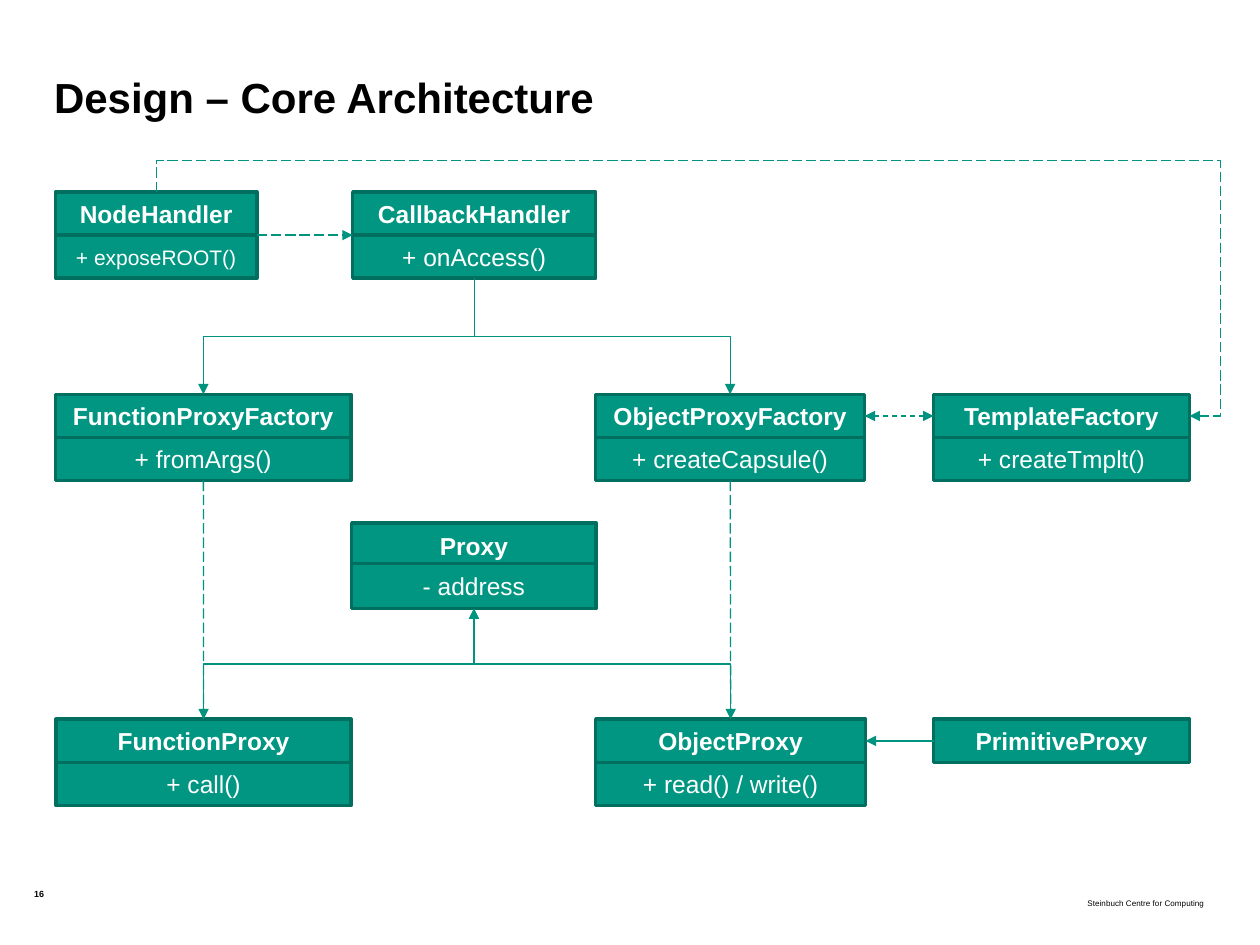
from lxml import etree
from pptx import Presentation
from pptx.dml.color import RGBColor
from pptx.enum.dml import MSO_LINE
from pptx.enum.shapes import MSO_CONNECTOR, MSO_SHAPE
from pptx.enum.text import MSO_ANCHOR, PP_ALIGN
from pptx.oxml.ns import qn
from pptx.util import Cm, Pt

RECTANGLE = MSO_SHAPE.RECTANGLE
STRAIGHT, ELBOW = MSO_CONNECTOR.STRAIGHT, MSO_CONNECTOR.ELBOW
LONG_DASH, DASH = MSO_LINE.LONG_DASH, MSO_LINE.DASH
LEFT, CENTER, RIGHT = PP_ALIGN.LEFT, PP_ALIGN.CENTER, PP_ALIGN.RIGHT
TOP, MIDDLE, BOTTOM = MSO_ANCHOR.TOP, MSO_ANCHOR.MIDDLE, MSO_ANCHOR.BOTTOM

COLORS = {"fill": "009682", "border": "006F60", "line": "00937F",
          "light": "FFFFFF", "dark": "000000"}
ROW_HEIGHT = 0.87
HANDLER_TOP, FACTORY_TOP, PROXY_TOP = 3.87, 7.95, 14.5

CLASSES = [
    ("CallbackHandler", "+ onAccess()", 7.11, HANDLER_TOP, 4.9, {}),
    ("Proxy", "- address", 7.09, 10.54, 4.93, {"height": 0.91, "pitch": 0.82}),
    ("ObjectProxy", "+ read() / write()", 12.01, PROXY_TOP, 5.44, {}),
    ("FunctionProxy", "+ call()", 1.13, PROXY_TOP, 5.95, {}),
    ("ObjectProxyFactory", "+ createCapsule()", 12.01, FACTORY_TOP, 5.42, {}),
    ("NodeHandler", "+ exposeROOT()", 1.12, HANDLER_TOP, 4.06, {"member_size": 12}),
    ("TemplateFactory", "+ createTmplt()", 18.82, FACTORY_TOP, 5.16, {}),
    ("FunctionProxyFactory", "+ fromArgs()", 1.12, FACTORY_TOP, 5.96, {}),
]


def color(name):
    return RGBColor.from_string(COLORS[name])


def write_text(shape, text, size, bold=False, ink="dark", align=LEFT,
               anchor=TOP, baseline=None):
    frame = shape.text_frame
    frame.word_wrap = True
    frame.vertical_anchor = anchor
    paragraph = frame.paragraphs[0]
    paragraph.alignment = align
    run = paragraph.add_run()
    run.text = text
    run.font.name = "Arial"
    run.font.size = Pt(size)
    run.font.bold = bold
    run.font.color.rgb = color(ink)
    if baseline is not None:
        run.font._element.set("baseline", str(baseline * 1000))


def add_label(slide, text, left, top, width, height, **text_format):
    shape = slide.shapes.add_textbox(Cm(left), Cm(top), Cm(width), Cm(height))
    frame = shape.text_frame
    frame.margin_left = frame.margin_right = 0
    frame.margin_top = frame.margin_bottom = 0
    write_text(shape, text, **text_format)


def add_cell(shapes, text, left, top, width, height=ROW_HEIGHT, size=14, bold=False):
    shape = shapes.add_shape(RECTANGLE, Cm(left), Cm(top), Cm(width), Cm(height))
    shape.shadow.inherit = False
    shape.fill.solid()
    shape.fill.fore_color.rgb = color("fill")
    shape.line.color.rgb = color("border")
    shape.line.width = Pt(2)
    write_text(shape, text, size, bold=bold, ink="light", align=CENTER, anchor=MIDDLE)
    return shape


def add_class(slide, name, member, left, top, width,
              height=ROW_HEIGHT, pitch=ROW_HEIGHT, member_size=14):
    shapes = slide.shapes.add_group_shape().shapes
    header = add_cell(shapes, name, left, top, width, height, bold=True)
    body = add_cell(shapes, member, left, top + pitch, width, height, size=member_size)
    return header, body


def side_point(shape, side):
    middle_x = shape.left + shape.width // 2
    middle_y = shape.top + shape.height // 2
    return [(middle_x, shape.top), (shape.left, middle_y),
            (middle_x, shape.top + shape.height),
            (shape.left + shape.width, middle_y)][side]


def style_connector(connector, dash=None, both_ends=False):
    line = connector.line
    line.color.rgb = color("line")
    line.width = Pt(0.75)
    if dash is not None:
        line.dash_style = dash
    properties = connector._element.spPr
    outline = properties.find(qn("a:ln"))
    for end in ("a:headEnd", "a:tailEnd") if both_ends else ("a:tailEnd",):
        etree.SubElement(outline, qn(end), type="triangle")
    etree.SubElement(properties, qn("a:effectLst"))


def add_arrow(slide, start, end, **line_format):
    connector = slide.shapes.add_connector(STRAIGHT, 0, 0, 0, 0)
    connector.begin_connect(*start)
    connector.end_connect(*end)
    style_connector(connector, **line_format)


def add_elbow(slide, start, end, adjustments=(), **line_format):
    (start_x, start_y), (end_x, end_y) = side_point(*start), side_point(*end)
    right, down = end_x > start_x, end_y > start_y
    connector = slide.shapes.add_connector(ELBOW, start_x, start_y, end_x, end_y)
    width, height = abs(end_y - start_y), abs(end_x - start_x)
    connector.width, connector.height = width, height
    connector.left = (start_x + end_x - width) // 2
    connector.top = (start_y + end_y - height) // 2
    transform = connector._element.spPr.find(qn("a:xfrm"))
    transform.set("rot", str((270 if right == down else 90) * 60000))
    transform.set("flipH", str(int(right)))
    transform.set("flipV", str(int(not down)))
    if adjustments:
        geometry = connector._element.spPr.find(qn("a:prstGeom"))
        geometry.set("prst", f"bentConnector{len(adjustments) + 2}")
        guides = geometry.find(qn("a:avLst"))
        for number, value in enumerate(adjustments, 1):
            etree.SubElement(guides, qn("a:gd"), name=f"adj{number}",
                             fmla=f"val {round(value * 100000)}")
    style_connector(connector, **line_format)


def main():
    presentation = Presentation()
    presentation.slide_width, presentation.slide_height = Cm(25.4), Cm(19.05)
    slide = presentation.slides.add_slide(presentation.slide_layouts[6])

    add_label(slide, "Steinbuch Centre for Computing", 16.69, 17.93, 7.59, 0.99,
              size=8, align=RIGHT, baseline=-25)
    add_label(slide, "16", 0.69, 17.91, 0.91, 0.61, size=5.1, bold=True)
    add_label(slide, "Design – Core Architecture", 1.09, 0.91, 19.2, 1.55,
              size=24, bold=True, anchor=BOTTOM)

    headers, bodies = {}, {}
    for name, member, left, top, width, options in CLASSES:
        headers[name], bodies[name] = add_class(
            slide, name, member, left, top, width, **options)
    primitive = add_cell(slide.shapes, "PrimitiveProxy", 18.82, PROXY_TOP, 5.16, bold=True)

    for kind in ("Function", "Object"):
        factory, proxy = kind + "ProxyFactory", kind + "Proxy"
        add_elbow(slide, (bodies["CallbackHandler"], 2), (headers[factory], 0))
        add_elbow(slide, (headers[proxy], 0), (bodies["Proxy"], 2))
        add_arrow(slide, (bodies[factory], 2), (headers[proxy], 0), dash=LONG_DASH)

    add_arrow(slide, (primitive, 1), (headers["ObjectProxy"], 3))
    add_arrow(slide, (headers["TemplateFactory"], 1), (headers["ObjectProxyFactory"], 3),
              dash=DASH, both_ends=True)
    add_elbow(slide, (headers["NodeHandler"], 0), (headers["TemplateFactory"], 3),
              adjustments=(-0.14, 1.03), dash=LONG_DASH)

    divider = Cm(HANDLER_TOP + ROW_HEIGHT)
    callback_link = slide.shapes.add_connector(
        STRAIGHT, side_point(headers["NodeHandler"], 3)[0], divider,
        headers["CallbackHandler"].left, divider)
    style_connector(callback_link, dash=LONG_DASH)

    presentation.save("out.pptx")


if __name__ == "__main__":
    main()
